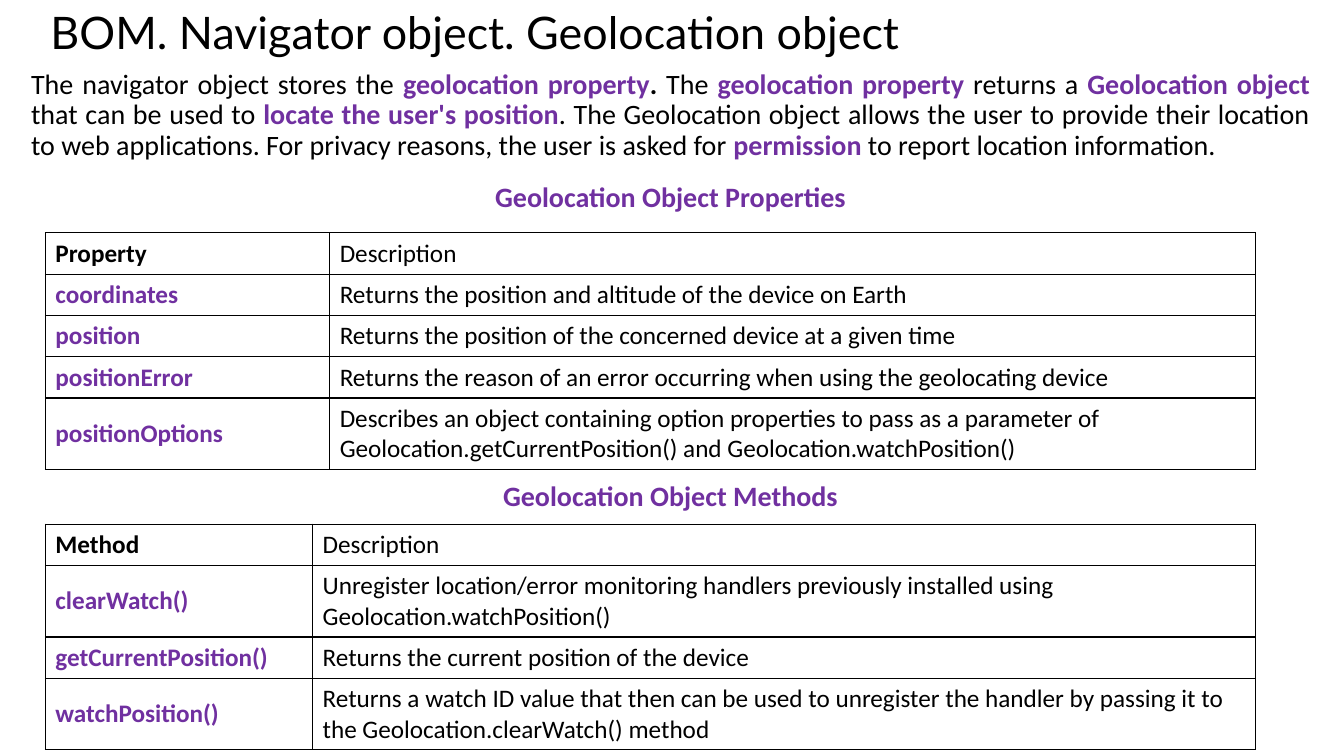
from dataclasses import dataclass
from lxml import etree
from pptx import Presentation
from pptx.dml.color import RGBColor
from pptx.enum import text as t
from pptx.oxml import ns
from pptx.util import Inches, Pt


@dataclass(frozen=True)
class Theme:
    ink: str = "000000"
    mark: str = "7030A0"
    head: str = "Lato"
    body: str = "Calibri"
    title: int = 32
    text: int = 20
    cell: int = 18


THEME = Theme()
LEFT, WIDE = 0.45, 12
LINE, PAIR = 0.41, 0.71

TITLE = "BOM. Navigator object. Geolocation object"
INTRO = [
    ("The navigator object stores the ", THEME.ink, False),
    ("geolocation property", THEME.mark, True),
    (". ", THEME.ink, True),
    ("The ", THEME.ink, False),
    ("geolocation property ", THEME.mark, True),
    ("returns a ", THEME.ink, False),
    ("Geolocation object ", THEME.mark, True),
    ("that can be used to ", THEME.ink, False),
    ("locate the user's position", THEME.mark, True),
    (". The Geolocation object allows the user to provide their location to web "
     "applications. For privacy reasons, the user is asked for ", THEME.ink, False),
    ("permission", THEME.mark, True),
    (" to report location information.", THEME.ink, False),
]
PROPS = [
    ("Property", "Description", LINE),
    ("coordinates", "Returns the position and altitude of the device on Earth", LINE),
    ("position", "Returns the position of the concerned device at a given time", LINE),
    ("positionError",
     "Returns the reason of an error occurring when using the geolocating device", LINE),
    ("positionOptions",
     "Describes an object containing option properties to pass as a parameter of "
     "Geolocation.getCurrentPosition() and Geolocation.watchPosition()", PAIR),
]
METHODS = [
    ("Method", "Description", LINE),
    ("clearWatch()",
     "Unregister location/error monitoring handlers previously installed using "
     "Geolocation.watchPosition()", PAIR),
    ("getCurrentPosition()", "Returns the current position of the device", LINE),
    ("watchPosition()",
     "Returns a watch ID value that then can be used to unregister the handler by "
     "passing it to the Geolocation.clearWatch() method", PAIR),
]


def assign(item, values):
    for name, value in values.items():
        setattr(item, name, value)


def add_run(para, words, color, bold, size, face=THEME.body):
    run = para.add_run()
    run.text = words
    assign(run.font, {"name": face, "size": Pt(size), "bold": bold})
    run.font.color.rgb = RGBColor.from_string(color)


def add_title(slide):
    title = slide.shapes.title
    assign(title, {"left": Inches(0.4), "top": Inches(0),
                   "width": Inches(12.65), "height": Inches(0.58)})
    frame = title.text_frame
    assign(frame, {"vertical_anchor": t.MSO_ANCHOR.TOP, "word_wrap": True,
                   "auto_size": t.MSO_AUTO_SIZE.NONE})
    para = frame.paragraphs[0]
    para.alignment = t.PP_ALIGN.LEFT
    add_run(para, TITLE, THEME.ink, False, THEME.title, THEME.head)


def add_text(slide, top, high, runs, align):
    box = slide.shapes.add_textbox(Inches(0.21), Inches(top), Inches(12.88), Inches(high))
    box.text_frame.word_wrap = True
    para = box.text_frame.paragraphs[0]
    assign(para, {"alignment": align, "line_spacing": 0.9})
    for words, color, bold in runs:
        add_run(para, words, color, bold, THEME.text)


def add_border(cell):
    props = cell._tc.get_or_add_tcPr()
    for spot, side in enumerate(("lnL", "lnR", "lnT", "lnB")):
        line = etree.Element(ns.qn(f"a:{side}"), w=str(Pt(1)))
        fill = etree.SubElement(line, ns.qn("a:solidFill"))
        etree.SubElement(fill, ns.qn("a:srgbClr"), val=THEME.ink)
        props.insert(spot, line)


def fill_cell(cell, words, color, bold):
    cell.fill.background()
    add_border(cell)
    cell.vertical_anchor = t.MSO_ANCHOR.MIDDLE
    add_run(cell.text_frame.paragraphs[0], words, color, bold, THEME.cell)


def add_grid(slide, top, first, rows):
    high = sum(row[2] for row in rows)
    table = slide.shapes.add_table(len(rows), 2, Inches(LEFT), Inches(top),
                                   Inches(WIDE), Inches(high)).table
    assign(table, {"first_row": False, "horz_banding": False})
    for col, wide in zip(table.columns, (first, WIDE - first)):
        col.width = Inches(wide)
    for num, (name, about, tall) in enumerate(rows):
        table.rows[num].height = Inches(tall)
        fill_cell(table.cell(num, 0), name, THEME.mark if num else THEME.ink, True)
        fill_cell(table.cell(num, 1), about, THEME.ink, False)


def main():
    deck = Presentation()
    assign(deck, {"slide_width": Inches(13.33), "slide_height": Inches(7.5)})
    slide = deck.slides.add_slide(deck.slide_layouts[5])
    add_title(slide)
    add_text(slide, 0.65, 1.05, INTRO, t.PP_ALIGN.JUSTIFY)
    for label, place, top, first, rows in (
        ("Geolocation Object Properties", 1.77, 2.31, 2.82, PROPS),
        ("Geolocation Object Methods", 4.74, 5.2, 2.65, METHODS),
    ):
        add_text(slide, place, 0.4, [(label, THEME.mark, True)], t.PP_ALIGN.CENTER)
        add_grid(slide, top, first, rows)
    deck.save("out.pptx")


if __name__ == "__main__":
    main()
